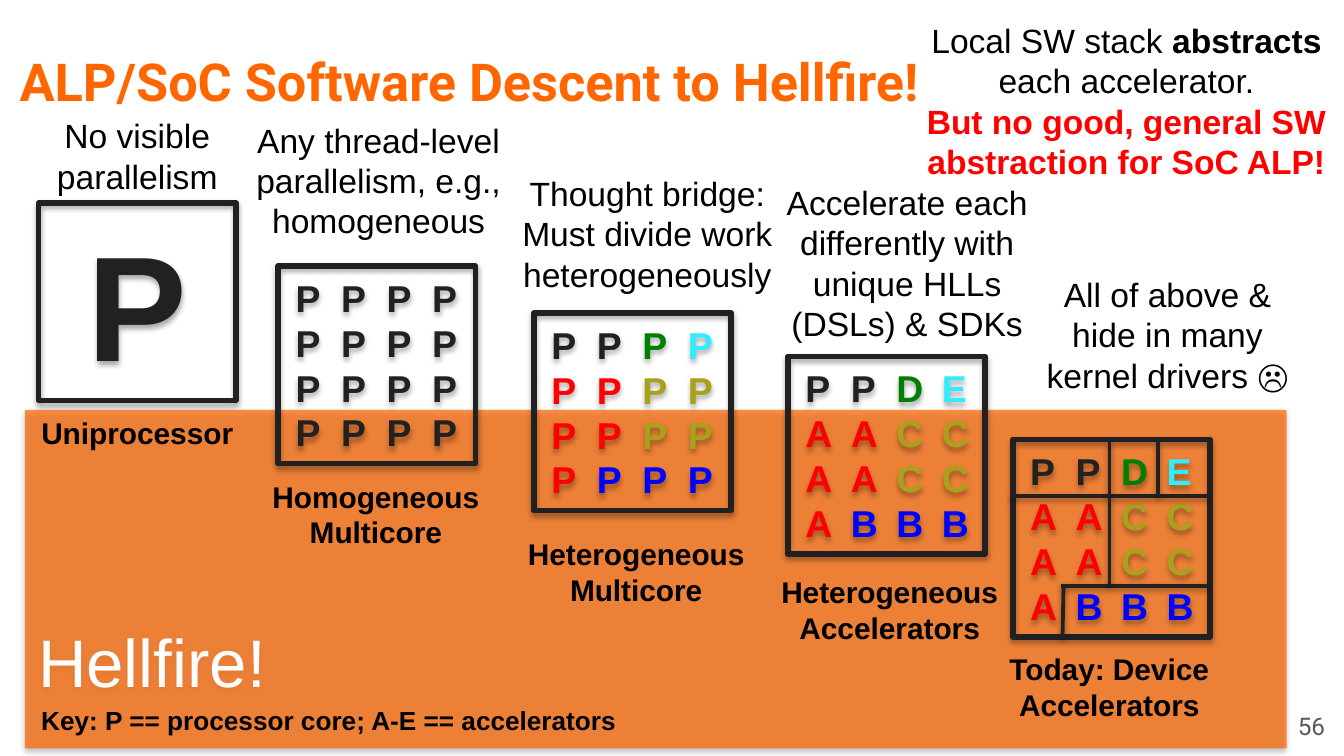
from lxml import etree
from pptx import Presentation
from pptx.dml.color import RGBColor
from pptx.enum.shapes import MSO_CONNECTOR, MSO_SHAPE
from pptx.enum.text import MSO_ANCHOR, PP_ALIGN
from pptx.oxml.ns import qn
from pptx.util import Cm, Pt

LEFT, CENTER, RIGHT = PP_ALIGN.LEFT, PP_ALIGN.CENTER, PP_ALIGN.RIGHT
TOP, MIDDLE, BOTTOM = MSO_ANCHOR.TOP, MSO_ANCHOR.MIDDLE, MSO_ANCHOR.BOTTOM
RECTANGLE, STRAIGHT = MSO_SHAPE.RECTANGLE, MSO_CONNECTOR.STRAIGHT

COLORS = {
    "title": "FF6600", "hellfire": "FF6600", "white": "FFFFFF",
    "black": "000000", "number": "595959", "ink": "212121",
    "green": "008000", "cyan": "31EBFF", "red": "FF0000",
    "olive": "A8A11B", "blue": "0000FF",
}

TITLE = "ALP/SoC Software Descent to Hellfire!"
KEY = "Key: P == processor core; A-E == accelerators"
SUMMARY = [
    [("Local SW stack ", "black", False), ("abstracts", "black", True),
     (" each accelerator.", "black", False)],
    [("But no good, general SW abstraction for SoC ALP!", "red", True)],
]

# Colour of each core in a mixed chip, row by row
MIXED = [
    ["ink", "ink", "green", "cyan"],
    ["red", "red", "olive", "olive"],
    ["red", "red", "olive", "olive"],
    ["red", "blue", "blue", "blue"],
]
PLAIN = [["ink"] * 4] * 4
CORES = ["PPPP"] * 4
ACCELERATORS = ["PPDE", "AACC", "AACC", "ABBB"]

# Positions in cm: chip (left, top), caption (left, top), note (left, top, width)
STAGES = [
    {"chip": (0.73, 3.84), "cores": ["P"], "colors": [["ink"]],
     "caption": (0.27, 7.58, ["Uniprocessor"]),
     "note": (0.73, 1.93, 3.73, "No visible parallelism")},
    {"chip": (5.26, 5.03), "cores": CORES, "colors": PLAIN,
     "caption": (4.78, 8.79, ["Homogeneous", "Multicore"]),
     "note": (4.5, 2.01, 5.31, "Any thread-level parallelism, e.g., homogeneous")},
    {"chip": (10.09, 5.92), "cores": CORES, "colors": MIXED,
     "caption": (9.7, 9.88, ["Heterogeneous", "Multicore"]),
     "note": (9.58, 3.02, 5.31, "Thought bridge: Must divide work heterogeneously")},
    {"chip": (14.89, 6.74), "cores": ACCELERATORS, "colors": MIXED,
     "caption": (14.49, 10.59, ["Heterogeneous", "Accelerators"]),
     "note": (14.4, 3.19, 5.49,
              "Accelerate each differently with unique HLLs (DSLs) & SDKs")},
    {"chip": (19.14, 8.31), "cores": ACCELERATORS, "colors": MIXED,
     "caption": (18.64, 12.05, ["Today: Device", "Accelerators"]),
     "note": (19.41, 4.93, 5.31, "All of above & hide in many kernel drivers ☹")},
]

# Walls between the devices of the last chip, from its top left corner
WALLS = [
    (-0.05, 1.06, 3.68, 1.06),
    (0.91, 2.76, 3.68, 2.76),
    (2.74, 1.06, 2.74, 0.05),
    (0.94, 3.75, 0.96, 2.74),
    (1.83, 2.74, 1.83, 0.05),
]

CHIP = 3.73
CORE_PITCH = 0.86
CORE_INSET = 0.33
CAPTION_WIDTH = 4.65
LINE_HEIGHT = 1.2


def rgb(name):
    return RGBColor.from_string(COLORS[name])


def add_shadow(item, alpha, distance):
    """Give a shape or connector a soft black shadow straight below it."""
    properties = item._element.spPr
    effects = properties.find(qn("a:effectLst"))
    if effects is None:
        effects = etree.SubElement(properties, qn("a:effectLst"))
    shadow = etree.SubElement(effects, qn("a:outerShdw"), blurRad=str(Pt(3.1)),
                              dist=str(Pt(distance)), dir="5400000", rotWithShape="0")
    color = etree.SubElement(shadow, qn("a:srgbClr"), val=COLORS["black"])
    etree.SubElement(color, qn("a:alpha"), val=str(alpha * 1000))


def set_frame(frame, anchor, sides, ends):
    frame.word_wrap = True
    frame.vertical_anchor = anchor
    frame.margin_left = frame.margin_right = Cm(sides)
    frame.margin_top = frame.margin_bottom = Cm(ends)


def write(frame, lines, size, align=CENTER, font="Arial", tabs=()):
    """Fill a frame; each line is a list of (text, colour, bold) spans."""
    for index, spans in enumerate(lines):
        para = frame.add_paragraph() if index else frame.paragraphs[0]
        para.alignment = align
        para.line_spacing = Pt(size * LINE_HEIGHT)
        if tabs:
            stops = etree.SubElement(para._p.get_or_add_pPr(), qn("a:tabLst"))
            for stop in tabs:
                etree.SubElement(stops, qn("a:tab"), pos=str(Cm(stop)), algn="l")
        for text, color, bold in spans:
            span = para.add_run()
            span.text = text
            span.font.name = font
            span.font.size = Pt(size)
            span.font.bold = bold
            span.font.color.rgb = rgb(color)


def add_text(slide, place, lines, size, align=CENTER, font="Arial", anchor=TOP,
             sides=0.25, ends=0.25):
    box = slide.shapes.add_textbox(*map(Cm, place))
    set_frame(box.text_frame, anchor, sides, ends)
    write(box.text_frame, lines, size, align, font)


def add_rectangle(slide, place):
    box = slide.shapes.add_shape(RECTANGLE, *map(Cm, place))
    box.shadow.inherit = False
    add_shadow(box, 35, 1.8)
    return box


def add_hellfire(slide):
    box = add_rectangle(slide, (0.47, 7.75, 23.85, 6.4))
    box.fill.solid()
    box.fill.fore_color.rgb = rgb("hellfire")
    color = box._element.spPr.find(qn("a:solidFill"))[0]
    etree.SubElement(color, qn("a:alpha"), val="71000")
    box.line.fill.background()
    set_frame(box.text_frame, BOTTOM, 0.25, 0.9)
    write(box.text_frame, [[("Hellfire!", "white", False)]], 36, LEFT)


def add_chip(slide, left, top, cores, colors):
    box = add_rectangle(slide, (left, top, CHIP, CHIP))
    box.fill.background()
    box.line.color.rgb = rgb("ink")
    box.line.width = Pt(3)
    frame = box.text_frame
    set_frame(frame, MIDDLE, 0.25, 0.13)
    lines = [[(("\t" if column else "") + core, color, True)
              for column, (core, color) in enumerate(zip(row, row_colors))]
             for row, row_colors in zip(cores, colors)]
    if len(cores) == 1:
        write(frame, lines, 80)
    else:
        frame.margin_left, frame.margin_right = Cm(CORE_INSET), 0
        tabs = [CORE_PITCH * column for column in (1, 2, 3)]
        write(frame, lines, 20, LEFT, tabs=tabs)


def add_walls(slide, left, top):
    for x1, y1, x2, y2 in WALLS:
        wall = slide.shapes.add_connector(
            STRAIGHT, Cm(left + x1), Cm(top + y1), Cm(left + x2), Cm(top + y2))
        wall.line.color.rgb = rgb("ink")
        wall.line.width = Pt(2)
        add_shadow(wall, 38, 1.6)


def add_stage(slide, stage):
    add_chip(slide, *stage["chip"], stage["cores"], stage["colors"])
    left, top, names = stage["caption"]
    add_text(slide, (left, top, CAPTION_WIDTH, 0.43 + 0.62 * len(names)),
             [[(name, "black", True)] for name in names], 16)
    left, top, width, note = stage["note"]
    add_text(slide, (left, top, width, 2.9), [[(note, "black", False)]], 18)


def main():
    deck = Presentation()
    deck.slide_width, deck.slide_height = Cm(25.4), Cm(14.29)
    slide = deck.slides.add_slide(deck.slide_layouts[6])
    add_text(slide, (0.12, 0.26, 24.26, 2.11), [[(TITLE, "title", True)]], 28,
             LEFT, "Roboto", BOTTOM)
    add_text(slide, (23.77, 13.19, 1.52, 1.09), [[("56", "number", False)]], 13,
             RIGHT, "Roboto")
    add_hellfire(slide)
    for stage in STAGES:
        add_stage(slide, stage)
    add_walls(slide, *STAGES[-1]["chip"])
    add_text(slide, (0.53, 13.19, 12.6, 0.86), [[(KEY, "black", True)]], 14, LEFT,
             ends=0.13)
    add_text(slide, (17.01, 0.13, 8.56, 3.45), SUMMARY, 18)
    deck.save("out.pptx")


if __name__ == "__main__":
    main()
